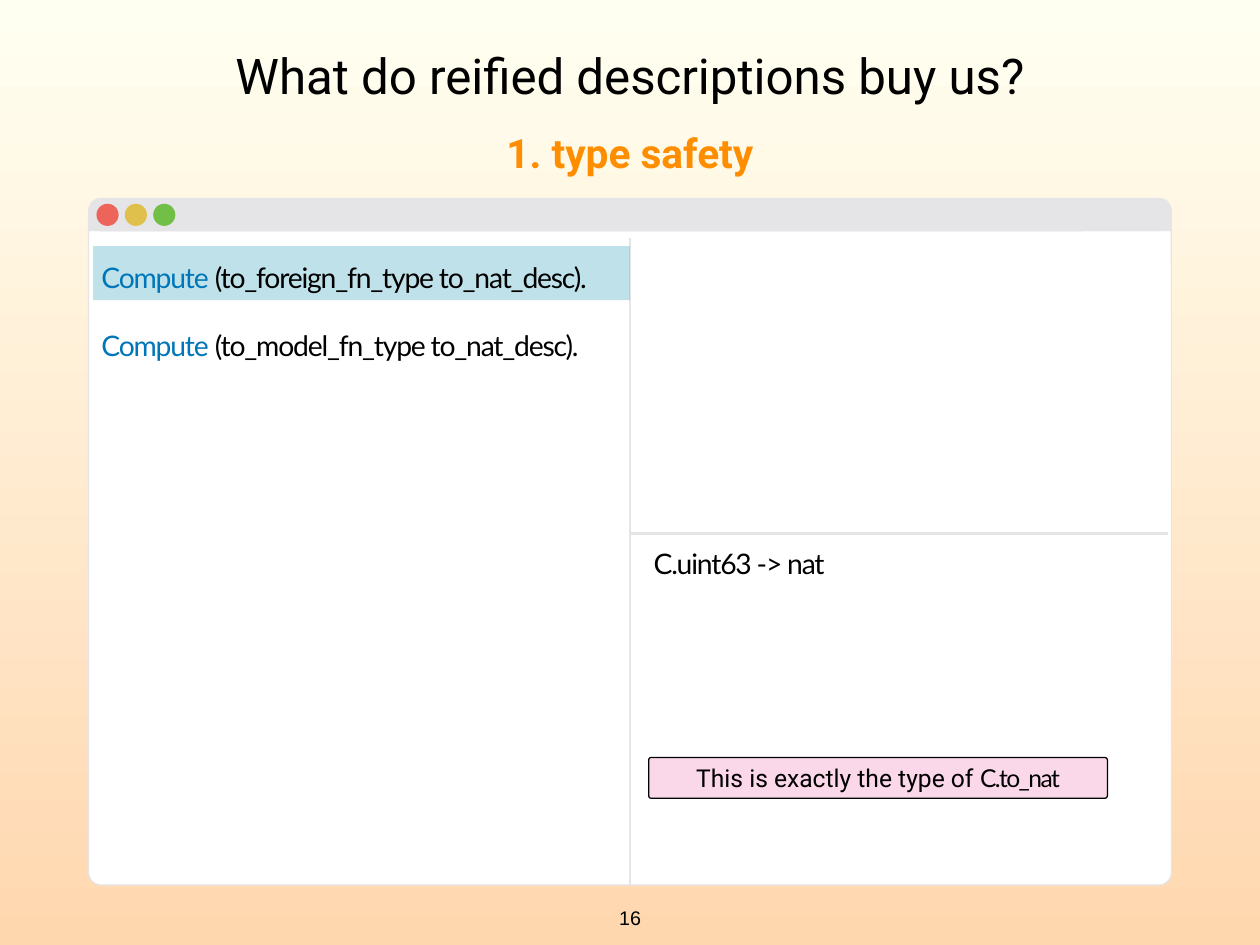
import pptx
import pptx.util
import pptx.dml.color
import pptx.enum.shapes
import pptx.enum.text
import lxml.etree

RGB = pptx.dml.color.RGBColor
SHAPE = pptx.enum.shapes.MSO_SHAPE
ALIGN = pptx.enum.text.PP_ALIGN
ANCHOR = pptx.enum.text.MSO_ANCHOR
Pt = pptx.util.Pt

BLACK = RGB(0x00, 0x00, 0x00)
WHITE = RGB(0xFF, 0xFF, 0xFF)
CHROME = RGB(0xE5, 0xE4, 0xE6)
KEYWORD = RGB(0x00, 0x76, 0xBA)
ORANGE = RGB(0xFF, 0x8D, 0x00)
TEAL = RGB(0x54, 0xAF, 0xC5)
PINK = RGB(0xE4, 0x17, 0x7D)
CREAM = RGB(0xFF, 0xFF, 0xF1)
PEACH = RGB(0xFF, 0xD7, 0xAF)
BUTTONS = [RGB(0xED, 0x65, 0x5A), RGB(0xE0, 0xC0, 0x4C), RGB(0x72, 0xBF, 0x47)]

COLUMNS, ROWS = 128, 96
deck = pptx.Presentation()
deck.slide_width = pptx.util.Inches(14.22)
deck.slide_height = pptx.util.Inches(10.67)
column = deck.slide_width / COLUMNS
row = deck.slide_height / ROWS
slide = deck.slides.add_slide(deck.slide_layouts[5])

backdrop = slide.background.fill
backdrop.gradient()
backdrop.gradient_angle = 270
for stop, color in zip(backdrop.gradient_stops, [CREAM, PEACH]):
    stop.color.rgb = color


def add_panel(kind, left, top, width, height, color, line=None, corner=None, alpha=None):
    panel = slide.shapes.add_shape(
        kind, round(left * column), round(top * row), round(width * column), round(height * row))
    panel.shadow.inherit = False
    panel.fill.solid()
    panel.fill.fore_color.rgb = color
    if line is None:
        panel.line.fill.background()
    else:
        panel.line.color.rgb = line
        panel.line.width = Pt(1)
    if corner is not None:
        panel.adjustments[0] = corner
    if alpha is not None:
        tint = panel.fill._xPr.find(".//" + pptx.oxml.ns.qn("a:srgbClr"))
        lxml.etree.SubElement(tint, pptx.oxml.ns.qn("a:alpha"), val=str(alpha * 1000))
    return panel


def write(holder, lines, size, font, align=ALIGN.CENTER, anchor=ANCHOR.MIDDLE, spacing=None, wrap=True):
    frame = holder.text_frame
    frame.word_wrap = wrap
    frame.vertical_anchor = anchor
    frame.margin_left = frame.margin_right = frame.margin_top = frame.margin_bottom = Pt(4)
    for index, pieces in enumerate(lines):
        paragraph = frame.add_paragraph() if index else frame.paragraphs[0]
        paragraph.alignment = align
        paragraph.space_before = Pt(1.2 * size if index else 0)
        paragraph.font.size = Pt(size)
        paragraph.font.name = font
        for words, color in pieces:
            run = paragraph.add_run()
            run.text = words
            run.font.color.rgb = color
            if spacing:
                run.font._element.set("spc", str(spacing))
    return frame.paragraphs


window_left, window_width, window_top, window_bottom = 9, 110, 20.3, 89.9
divider = COLUMNS / 2
pane_left = 65.9

add_panel(SHAPE.ROUNDED_RECTANGLE, window_left, window_top, window_width,
          window_bottom - window_top, WHITE, line=CHROME, corner=0.018)
add_panel(SHAPE.ROUNDED_RECTANGLE, window_left, 20.1, window_width, 3.4, CHROME, corner=0.366)
add_panel(SHAPE.RECTANGLE, window_left, 21.8, window_width, 1.7, CHROME)

for x1, y1, x2, y2 in [(divider, window_bottom, divider, 24.2), (118.7, 54.2, divider, 54.2)]:
    split = slide.shapes.add_connector(
        pptx.enum.shapes.MSO_CONNECTOR.STRAIGHT,
        round(x1 * column), round(y1 * row), round(x2 * column), round(y2 * row))
    split.line.color.rgb = CHROME
    split.line.width = Pt(2)
    lxml.etree.SubElement(split._element.spPr, pptx.oxml.ns.qn("a:effectLst"))

for index, color in enumerate(BUTTONS):
    add_panel(SHAPE.OVAL, 9.8 + 2.88 * index, 20.7, 2.25, 2.25, color)

add_panel(SHAPE.RECTANGLE, 9.45, 25, divider - 9.45, 5.5, TEAL, alpha=37)

commands = [[("Compute ", KEYWORD), (f"({function} to_nat_desc).", BLACK)]
            for function in ["to_foreign_fn_type", "to_model_fn_type"]]
code_style = dict(size=23, font="Lato", align=ALIGN.LEFT, anchor=ANCHOR.TOP, spacing=-100)
for left, top, width, height, lines, style in [
    (pane_left, 55, 51.4, 4.5, [[("C.uint63 -> nat", BLACK)]], code_style),
    (9.8, 25.9, 59.3, 11.4, commands, code_style),
    (62.35, 91.5, 3.3, 3.4, [[("16", BLACK)]],
     dict(size=16, font="Arial", anchor=ANCHOR.TOP, wrap=False)),
]:
    box = slide.shapes.add_textbox(
        round(left * column), round(top * row), round(width * column), round(height * row))
    write(box, lines, **style)

note = add_panel(SHAPE.ROUNDED_RECTANGLE, pane_left, 76.95, 46.6, 4.15, PINK,
                 line=BLACK, corner=0.063, alpha=17)
remark = write(note, [[("This is exactly the type of ", BLACK), ("C.to_nat", BLACK)]], 20, "Roboto")
function_name = remark[0].runs[1]
function_name.font.name = "Lato"
function_name.font._element.set("spc", "-130")

title = slide.shapes.title
title.left, title.top = round(9.35 * column), round(2.5 * row)
title.width, title.height = round(109.3 * column), round(10.25 * row)
write(title, [[("What do reified descriptions buy us?", BLACK)]], 40, "Roboto")

benefit = slide.shapes.add_textbox(
    round(39.45 * column), round(12.5 * row), round(49.1 * column), round(6 * row))
heading = write(benefit, [[("1. type safety", ORANGE)]], 33, "Roboto")
heading[0].font.bold = True

deck.save("out.pptx")
